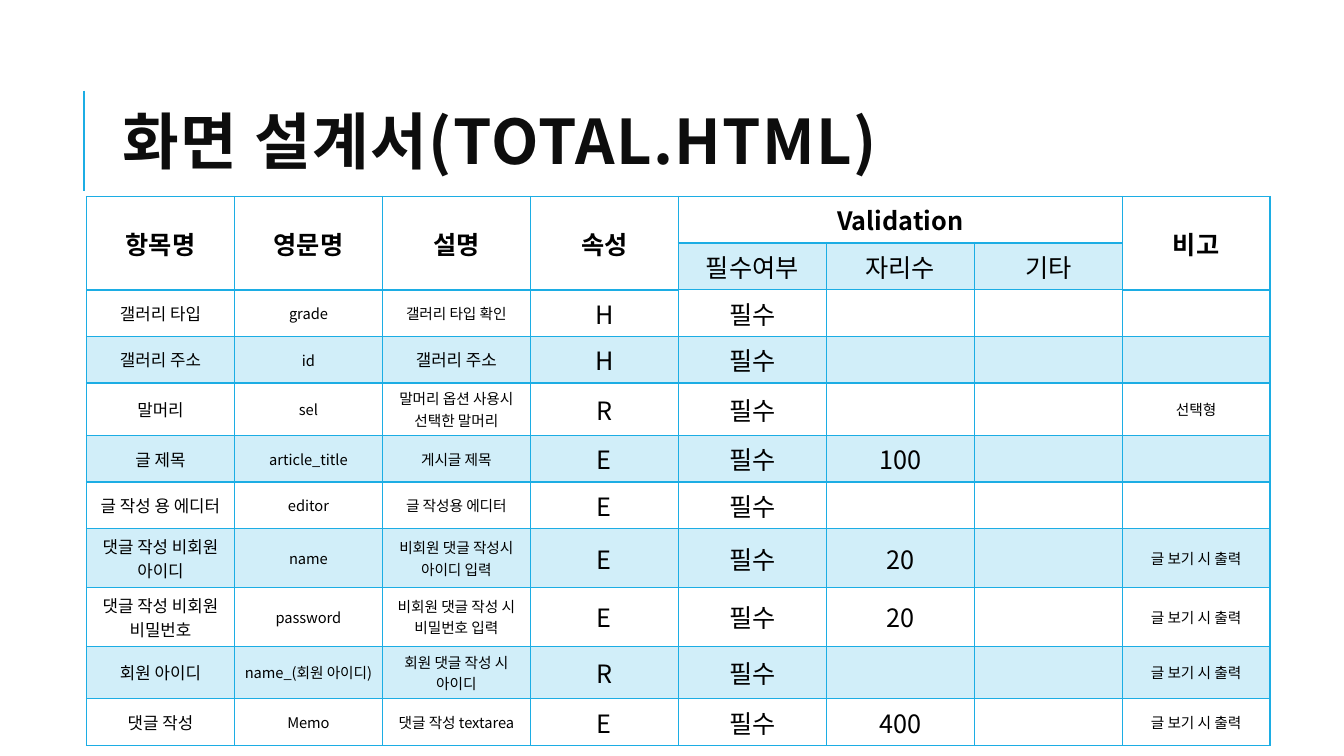
from dataclasses import dataclass
from lxml.etree import SubElement
from pptx import Presentation
from pptx.dml.color import RGBColor
from pptx.enum.shapes import MSO_CONNECTOR
from pptx.enum.text import MSO_ANCHOR, PP_ALIGN
from pptx.oxml.ns import qn
from pptx.util import Emu, Inches, Pt


@dataclass(frozen=True)
class Theme:
    face: str = "Noto Sans CJK KR"
    accent: str = "1CADE4"
    ink: str = "000000"
    dark: str = "0D0D0D"
    tint: int = 20
    title: float = 44
    large: float = 18
    name: float = 12
    small: float = 10.5
    rule: float = 1.5
    thin: float = 1
    thick: float = 2


HEADS = [
    ["항목명", "영문명", "설명", "속성", "Validation", "", "", "비고"],
    ["", "", "", "", "필수여부", "자리수", "기타", ""],
]
OUTPUT = "글 보기 시 출력"
# Item, English name, description, type, length, remark
FIELDS = [
    ("갤러리 타입", "grade", "갤러리 타입 확인", "H", "", ""),
    ("갤러리 주소", "id", "갤러리 주소", "H", "", ""),
    ("말머리", "sel", "말머리 옵션 사용시 선택한 말머리", "R", "", "선택형"),
    ("글 제목", "article_title", "게시글 제목", "E", "100", ""),
    ("글 작성 용 에디터", "editor", "글 작성용 에디터", "E", "", ""),
    ("댓글 작성 비회원 아이디", "name", "비회원 댓글 작성시 아이디 입력", "E", "20", OUTPUT),
    ("댓글 작성 비회원 비밀번호", "password", "비회원 댓글 작성 시 비밀번호 입력", "E", "20", OUTPUT),
    ("회원 아이디", "name_(회원 아이디)", "회원 댓글 작성 시 아이디", "R", "", OUTPUT),
    ("댓글 작성", "Memo", "댓글 작성 textarea", "E", "400", OUTPUT),
]
CHECKS = range(4, 7)  # columns under Validation


class Page:
    """Draws on one slide, measured in 16 columns and 10 rows."""

    def __init__(self, deck, theme):
        self.theme = theme
        self.slide = deck.slides.add_slide(deck.slide_layouts[5])
        self.col = deck.slide_width / 16
        self.row = deck.slide_height / 10

    def place(self, x, y, w, h):
        return [Emu(round(n)) for n in
                (x * self.col, y * self.row, w * self.col, h * self.row)]

    def style(self, run, size, color, bold=False):
        font = run.font
        font.name, font.size, font.bold = self.theme.face, Pt(size), bold
        font.color.rgb = RGBColor.from_string(color)
        SubElement(run._r.rPr, qn("a:ea"), typeface=self.theme.face)

    def title(self, text, *area):
        box = self.slide.shapes.title
        box.left, box.top, box.width, box.height = self.place(*area)
        frame = box.text_frame
        frame.text = text
        frame.word_wrap = True
        frame.vertical_anchor = MSO_ANCHOR.MIDDLE
        para = frame.paragraphs[0]
        para.alignment, para.line_spacing = PP_ALIGN.LEFT, 0.8
        run = para.runs[0]
        self.style(run, self.theme.title, self.theme.dark, True)
        run._r.rPr.set("spc", "100")

    def line(self, x, y, height):
        left, top, _, tall = self.place(x, y, 0, height)
        line = self.slide.shapes.add_connector(
            MSO_CONNECTOR.STRAIGHT, left, top, left, top + tall)
        line.line.color.rgb = RGBColor.from_string(self.theme.accent)
        line.line.width = Pt(self.theme.rule)
        SubElement(line._element.spPr, qn("a:effectLst"))

    def border(self, cell, top, bottom):
        thin = self.theme.thin
        sides = {"L": thin, "R": thin, "T": top, "B": bottom}
        for side, width in sides.items():
            edge = SubElement(cell._tc.get_or_add_tcPr(),
                              qn(f"a:ln{side}"), w=str(Pt(width)))
            fill = SubElement(edge, qn("a:solidFill"))
            SubElement(fill, qn("a:srgbClr"), val=self.theme.accent)

    def shade(self, cell, tinted):
        if not tinted:
            cell.fill.background()
            return
        cell.fill.solid()
        cell.fill.fore_color.rgb = RGBColor.from_string(self.theme.accent)
        color = cell._tc.tcPr.find(qn("a:solidFill"))[0]
        SubElement(color, qn("a:alpha"), val=str(self.theme.tint * 1000))

    def label(self, cell, text, size, bold):
        cell.vertical_anchor = MSO_ANCHOR.MIDDLE
        para = cell.text_frame.paragraphs[0]
        para.alignment = PP_ALIGN.CENTER
        para.font.size = Pt(size)
        if text:
            para.text = text
            self.style(para.runs[0], size, self.theme.ink, bold)

    def size(self, row, col, values):
        """Pick a type size; a description equal to its item name matches it."""
        theme = self.theme
        if row < len(HEADS) or 3 <= col <= 6 or not values[col]:
            return theme.large
        return theme.name if values[col] == values[0] else theme.small

    def edge(self, row, col):
        """Give the line width below a cell; header blocks end in a thick line."""
        heavy = row == 0 or (row == 1 and col not in CHECKS)
        return self.theme.thick if heavy else self.theme.thin

    def table(self, data, *area):
        shape = self.slide.shapes.add_table(
            len(data), len(data[0]), *self.place(*area))
        grid = shape.table
        grid.first_row = grid.horz_banding = False
        for r, values in enumerate(data):
            for c, text in enumerate(values):
                cell = grid.cell(r, c)
                top = self.edge(r - 1, c) if r else self.theme.thin
                self.border(cell, top, self.edge(r, c))
                self.shade(cell, r % 2 and (r > 1 or c in CHECKS))
                self.label(cell, text, self.size(r, c, values), r == 0)
        for c in range(len(data[0])):
            if c not in CHECKS:
                grid.cell(0, c).merge(grid.cell(1, c))
        grid.cell(0, CHECKS[0]).merge(grid.cell(0, CHECKS[-1]))


def main():
    deck = Presentation()
    deck.slide_width, deck.slide_height = Inches(13.33), Inches(7.5)
    page = Page(deck, Theme())
    rows = [[*field[:4], "필수", field[4], "", field[5]] for field in FIELDS]
    page.line(1, 1.2, 1.33)
    page.table(HEADS + rows, 1.03, 2.6, 14.09, 6.44)
    page.title("화면 설계서(TOTAL.HTML)", 1.34, 0.85, 12.76, 2.19)
    deck.save("out.pptx")


if __name__ == "__main__":
    main()
